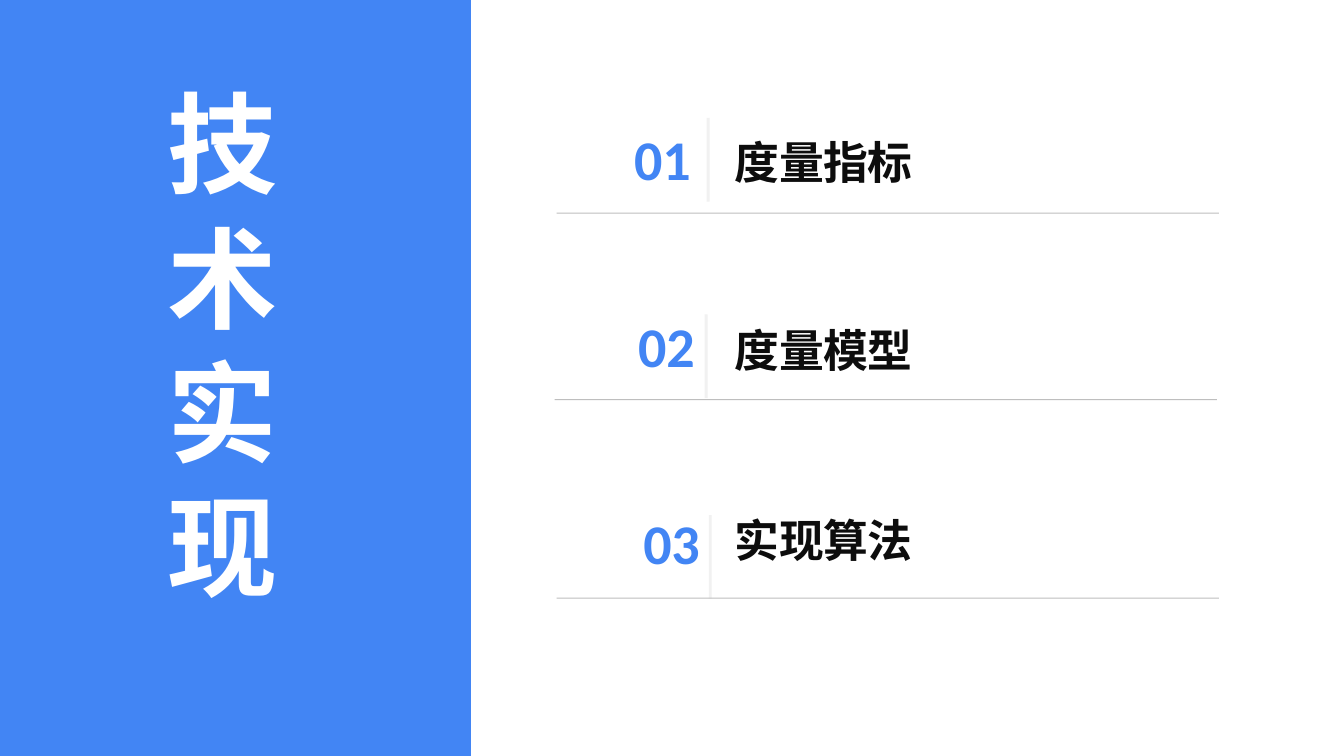
from pptx import Presentation
from pptx import util as u
from pptx.dml.color import RGBColor
from pptx.enum import shapes, text
from pptx.oxml import parse_xml
from pptx.oxml.ns import nsdecls

BLUE, WHITE, INK, PALE, GREY = "4285F4", "FFFFFF", "0D0D0D", "F1F1F1", "BEBEBE"
HAN, LATIN = "Noto Sans CJK SC", "Calibri"
TITLE = "技术实现"
# number, label, then left and top of: number, label, bar, rule
ROWS = [
    ("01", "度量指标", (6.29, 1.23), (7.29, 1.33), (7.01, 1.17), (5.52, 2.11)),
    ("02", "度量模型", (6.33, 3.08), (7.29, 3.19), (6.99, 3.12), (5.5, 3.96)),
    ("03", "实现算法", (6.38, 5.03), (7.29, 5.08), (7.03, 5.11), (5.52, 5.93)),
]
NUM, LABEL, BAR, RULE = (0.59, 0.69), (1.8, 0.56), (0.03, 0.83), (6.57, 0.01)


def color(code):
    return RGBColor.from_string(code)


def block(slide, spot, size, fill):
    box = slide.shapes.add_shape(
        shapes.MSO_SHAPE.RECTANGLE, *map(u.Inches, spot + size))
    box.shadow.inherit = False
    box.fill.solid()
    box.fill.fore_color.rgb = color(fill)
    box.line.fill.background()


def write(shape, words, face, size, ink, track, before):
    """Fill a text shape with one bold paragraph; track is in points."""
    frame = shape.text_frame
    frame.word_wrap = True
    frame.auto_size = text.MSO_AUTO_SIZE.SHAPE_TO_FIT_TEXT
    frame.vertical_anchor = text.MSO_ANCHOR.TOP
    frame.margin_left = frame.margin_right = frame.margin_bottom = 0
    frame.margin_top = u.Inches(0.01)
    para = frame.paragraphs[0]
    para.text = words
    para.space_before = u.Pt(before)
    font = para.font
    font.name, font.size, font.bold = face, u.Pt(size), True
    font.color.rgb = color(ink)
    props = para._p.get_or_add_pPr().get_or_add_defRPr()
    props.set("spc", str(round(track * 100)))
    props.append(parse_xml(f'<a:ea {nsdecls("a")} typeface="{face}"/>'))
    return para


def label(slide, spot, size, *style):
    write(slide.shapes.add_textbox(*map(u.Inches, spot + size)), *style)


def main():
    deck = Presentation()
    deck.slide_width, deck.slide_height = u.Inches(13.33), u.Inches(7.5)
    slide = deck.slides.add_slide(deck.slide_layouts[5])
    block(slide, (0, 0), (4.67, 7.5), BLUE)

    title = slide.shapes.title
    title.left, title.top = u.Inches(1.66), u.Inches(0.72)
    title.width, title.height = u.Inches(1.12), u.Inches(5.33)
    para = write(title, TITLE, HAN, 78.5, WHITE, -0.8, 0.8)
    para.alignment = text.PP_ALIGN.JUSTIFY
    para.line_spacing = u.Pt(95.9)
    # The title is made first, so lift it above the blue panel.
    slide.shapes._spTree.append(title._element)

    for num, name, num_at, name_at, bar_at, rule_at in ROWS:
        label(slide, num_at, NUM, num, LATIN, 40, BLUE, -0.2, 0.9)
        label(slide, name_at, LABEL, name, HAN, 32, INK, -0.6, 1.1)
        block(slide, bar_at, BAR, PALE)
        block(slide, rule_at, RULE, GREY)
    deck.save("out.pptx")


if __name__ == "__main__":
    main()
